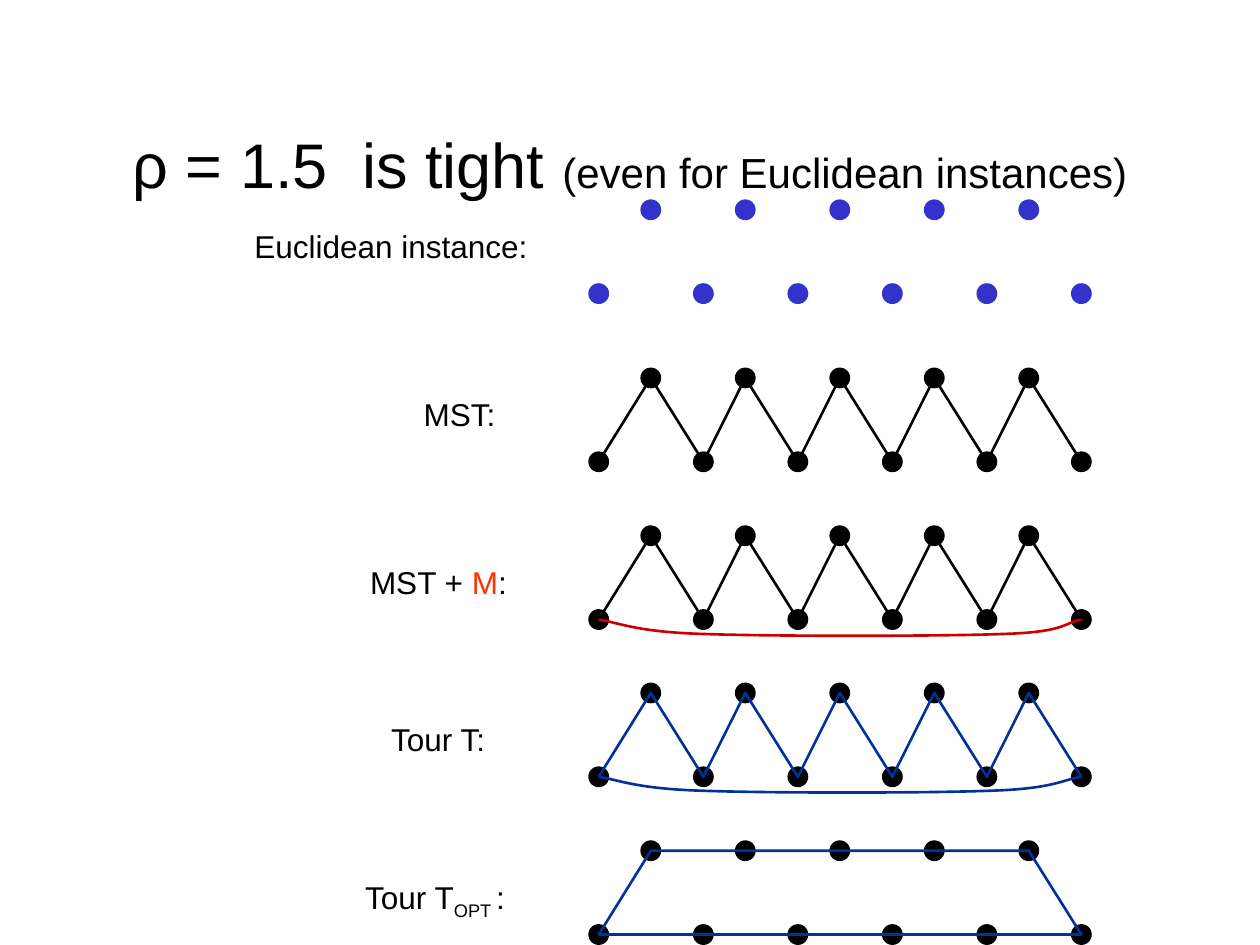
from pptx import Presentation
from pptx.dml.color import RGBColor
from pptx.enum.shapes import MSO_SHAPE
from pptx.enum.text import MSO_ANCHOR, MSO_AUTO_SIZE, PP_ALIGN
from pptx.oxml.ns import qn
from pptx.util import Cm, Pt
from lxml.etree import SubElement

BLACK, BLUE, NAVY, RED, ORANGE = "000000", "3333CC", "003399", "CC0000", "FF3300"
FONT = "Arial"

TITLE = [("ρ = 1.5  is tight ", 36, BLACK, 0), ("(even for Euclidean instances)", 24, BLACK, 0)]
MATCHING = [(0.36, 0.05), (0.74, 0.25), (2.08, 0.29), (3.45, 0.34), (6.88, 0.34),
            (8.18, 0.29), (9.45, 0.25), (9.4, 0.05), (9.73, 0)]
CLOSING = [(0.36, 0.05), (0.74, 0.24), (2.06, 0.28), (3.38, 0.33), (6.65, 0.33),
           (7.92, 0.28), (9.19, 0.24), (9.37, 0.05), (9.73, 0)]

ROWS = [
    {"top": 4.23, "dots": BLUE, "label": (4.87, 4.45, 6.02),
     "runs": [("Euclidean instance:", 18, BLACK, 0)]},
    {"top": 7.62, "dots": BLACK, "label": (8.25, 7.83, 2.03),
     "runs": [("MST:", 18, BLACK, 0)], "zigzag": BLACK},
    {"top": 10.8, "dots": BLACK, "label": (7.2, 11.22, 3.28),
     "runs": [("MST + ", 18, BLACK, 0), ("M", 18, ORANGE, 0), (":", 18, BLACK, 0)],
     "zigzag": BLACK, "curve": (MATCHING, RED)},
    {"top": 13.97, "dots": BLACK, "label": (7.55, 14.4, 2.57),
     "runs": [("Tour T:", 18, BLACK, 0)], "zigzag": NAVY, "curve": (CLOSING, NAVY)},
    {"top": 17.15, "dots": BLACK, "label": (6.99, 17.57, 3.56),
     "runs": [("Tour T", 18, BLACK, 0), ("OPT ", 18, BLACK, -25000), (":", 18, BLACK, 0)],
     "outline": NAVY},
]

DOT, DROP, STEP = 0.42, 1.69, 1.905
UPPER = [13.12 + STEP * index for index in range(5)]
LOWER = [12.07] + [14.18 + STEP * index for index in range(5)]


def color(value):
    """Turn a hex string into a colour."""
    return RGBColor.from_string(value)


def write(text_frame, runs):
    """Fill one centred paragraph with formatted runs."""
    paragraph = text_frame.paragraphs[0]
    paragraph.alignment = PP_ALIGN.CENTER
    for text, size, hex_color, baseline in runs:
        run = paragraph.add_run()
        run.text = text
        run.font.name = FONT
        run.font.size = Pt(size)
        run.font.color.rgb = color(hex_color)
        if baseline:
            run._r.get_or_add_rPr().set("baseline", str(baseline))


def add_label(slide, left, top, width, runs):
    """Add a row label."""
    text_frame = slide.shapes.add_textbox(Cm(left), Cm(top), Cm(width), Cm(1.02)).text_frame
    text_frame.word_wrap = False
    text_frame.auto_size = MSO_AUTO_SIZE.SHAPE_TO_FIT_TEXT
    write(text_frame, runs)


def add_dot(slide, x, y, hex_color):
    """Add a dot centred on a point."""
    dot = slide.shapes.add_shape(
        MSO_SHAPE.OVAL, Cm(x - DOT / 2), Cm(y - DOT / 2), Cm(DOT), Cm(DOT))
    dot.shadow.inherit = False
    dot.fill.solid()
    dot.fill.fore_color.rgb = color(hex_color)
    dot.line.fill.background()


def add_path(slide, points, hex_color, close=False):
    """Draw an unfilled line through the points."""
    start, *rest = [(Cm(x), Cm(y)) for x, y in points]
    builder = slide.shapes.build_freeform(*start)
    builder.add_line_segments(rest, close=close)
    shape = builder.convert_to_shape()
    shape.shadow.inherit = False
    shape.fill.background()
    shape.line.color.rgb = color(hex_color)
    shape.line.width = Pt(1.5)
    return shape


def add_curve(slide, points, hex_color):
    """Draw a Bézier curve from a start and triples of control points."""
    outline = add_path(slide, points, hex_color)._element.find(".//" + qn("a:path"))
    segments = outline.findall(qn("a:lnTo"))
    for index in range(0, len(segments), 3):
        curve = SubElement(outline, qn("a:cubicBezTo"))
        for segment in segments[index:index + 3]:
            curve.append(segment[0])
            outline.remove(segment)


def add_row(slide, row):
    """Add the label, dots and lines of one row."""
    top, bottom = row["top"], row["top"] + DROP
    upper = [(x, top) for x in UPPER]
    lower = [(x, bottom) for x in LOWER]
    add_label(slide, *row["label"], row["runs"])
    for x, y in upper + lower:
        add_dot(slide, x, y, row["dots"])
    if "zigzag" in row:
        add_path(slide, sorted(upper + lower), row["zigzag"])
    if "curve" in row:
        offsets, hex_color = row["curve"]
        start_x, start_y = lower[0]
        points = [(start_x + x, start_y + y) for x, y in [(0, 0)] + offsets]
        add_curve(slide, points, hex_color)
    if "outline" in row:
        corners = [lower[0], upper[0], upper[-1], lower[-1]]
        add_path(slide, corners, row["outline"], close=True)


def main():
    """Build the slide and save it."""
    presentation = Presentation()
    presentation.slide_width, presentation.slide_height = Cm(25.4), Cm(19.05)
    slide = presentation.slides.add_slide(presentation.slide_layouts[5])
    title = slide.shapes.title
    title.left, title.top, title.width, title.height = Cm(1.9), Cm(1.7), Cm(21.6), Cm(3.18)
    title.text_frame.vertical_anchor = MSO_ANCHOR.MIDDLE
    write(title.text_frame, TITLE)
    for row in ROWS:
        add_row(slide, row)
    presentation.save("out.pptx")


if __name__ == "__main__":
    main()
